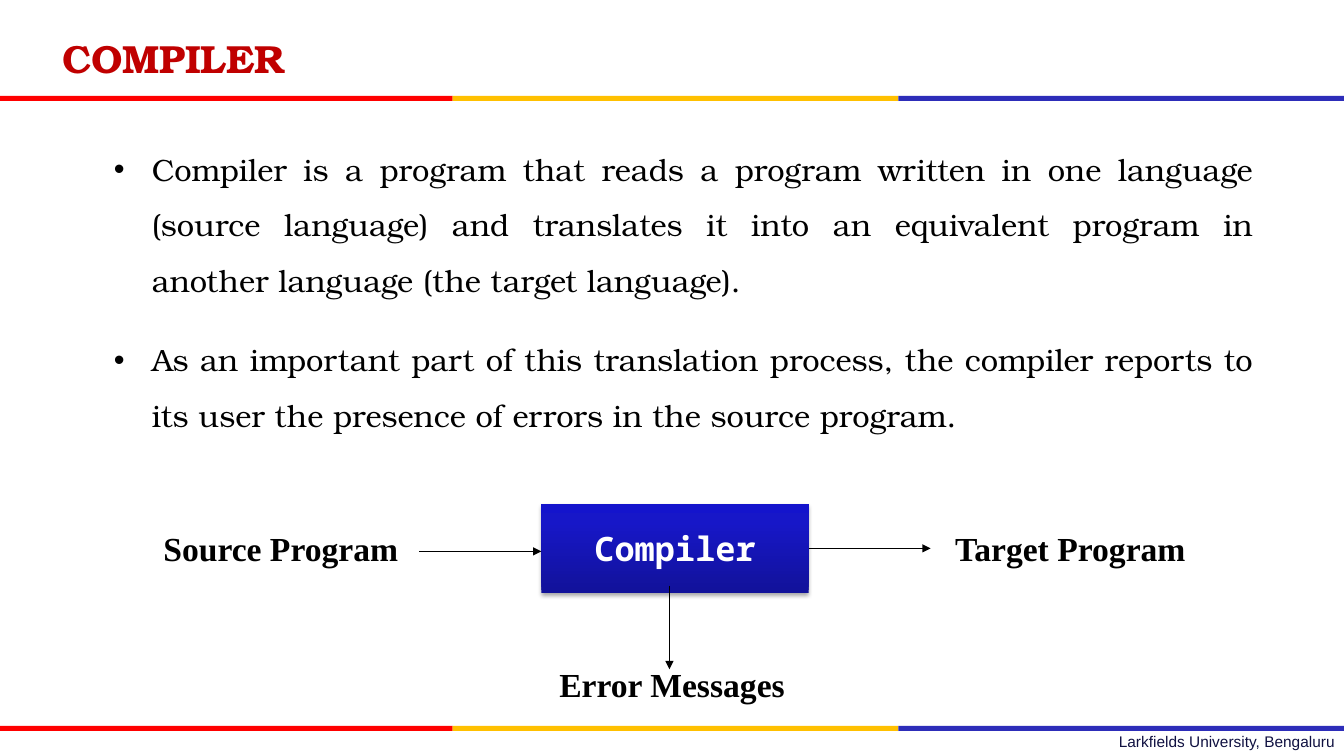
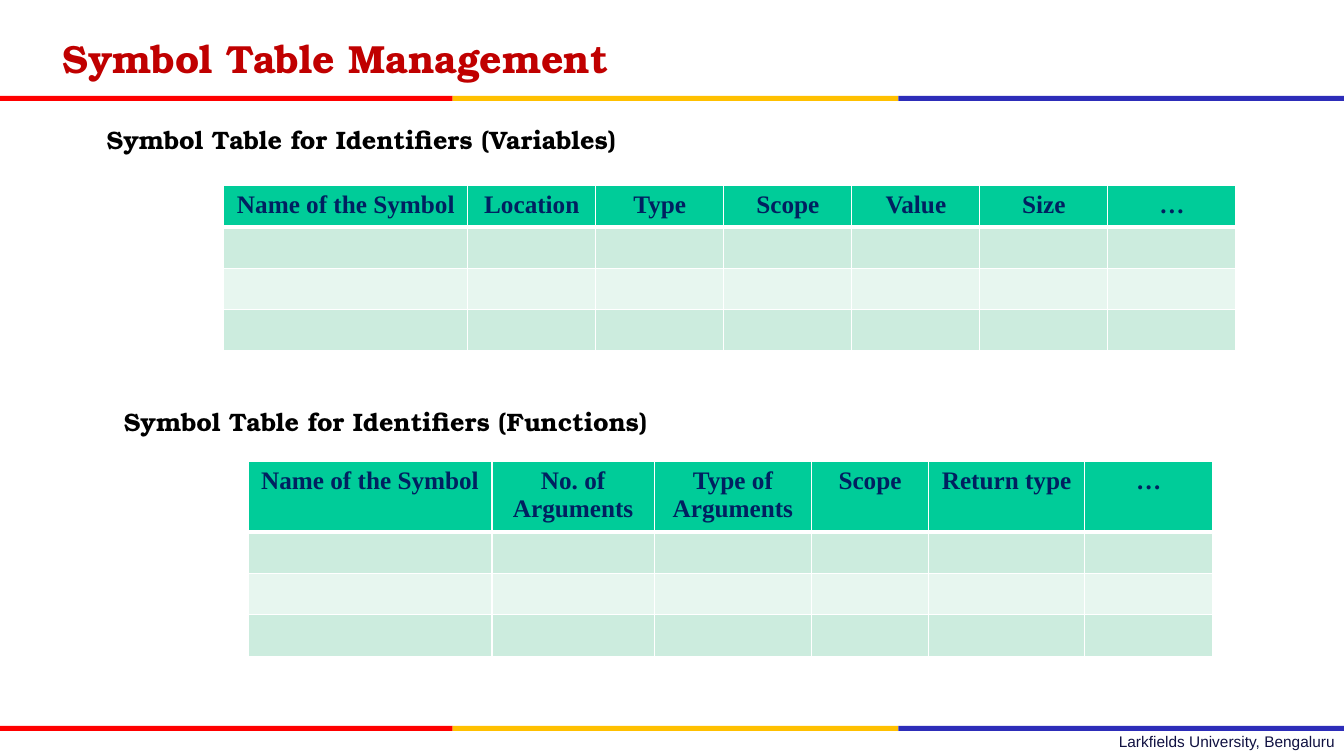
import copy

import lxml.etree
import pptx
import pptx.dml.color
import pptx.enum.shapes
import pptx.enum.text
import pptx.oxml.ns
import pptx.util

PX = 9144
SERIF, DISPLAY, MONO, SANS = "Times New Roman", "TeX Gyre Bonum", "Noto Sans Mono", "Arial"
BLACK, WHITE, NAVY = "000000", "FFFFFF", "002060"
TITLE_RED, FOOTER_INK = "C00000", "101141"
BANDS = [(0, 449, "FF0000"), (449, 442, "FFC000"), (891, 442, "2D2DB9")]
BAND_TOPS = (95, 720)
HEADER_GREEN, ROW_GREENS = "00CC99", ("CCECDE", "E7F6EF")
COMPILER_STOPS = [(0, "12129A"), (0.8, "1717C8"), (1, "1414CC")]
ROW_HEIGHT = 41
ALIGN = pptx.enum.text.PP_ALIGN
ANCHOR = pptx.enum.text.MSO_ANCHOR
RECTANGLE = pptx.enum.shapes.MSO_SHAPE.RECTANGLE


def emu(*lengths):
    """Turn px lengths into EMU."""
    return [pptx.util.Emu(length * PX) for length in lengths]


def rgb(color):
    """Turn a hex string into a colour."""
    return pptx.dml.color.RGBColor.from_string(color)


def add_node(parent, tag, **attributes):
    """Append a DrawingML element to its parent."""
    return lxml.etree.SubElement(parent, pptx.oxml.ns.qn(tag), **attributes)


def style_text(frame, font, size, color, bold=False, align=ALIGN.LEFT):
    """Format every paragraph and run of a text frame."""
    for paragraph in frame.paragraphs:
        paragraph.alignment = align
        for run in paragraph.runs:
            run.font.name = font
            run.font.size = pptx.util.Pt(size)
            run.font.bold = bold
            run.font.color.rgb = rgb(color)


def place(placeholder, left, top, width, height, anchor=ANCHOR.TOP):
    """Move a placeholder and fix its text fitting."""
    placeholder.left, placeholder.top, placeholder.width, placeholder.height = emu(left, top, width, height)
    frame = placeholder.text_frame
    frame.word_wrap = True
    frame.auto_size = pptx.enum.text.MSO_AUTO_SIZE.NONE
    frame.vertical_anchor = anchor
    return frame


def add_rectangle(slide, left, top, width, height, color):
    """Draw a plain filled rectangle."""
    rectangle = slide.shapes.add_shape(RECTANGLE, *emu(left, top, width, height))
    rectangle.shadow.inherit = False
    rectangle.fill.solid()
    rectangle.fill.fore_color.rgb = rgb(color)
    rectangle.line.fill.background()
    return rectangle


def add_text(slide, left, top, width, height, text):
    """Add a wrapping text box and return its frame."""
    frame = slide.shapes.add_textbox(*emu(left, top, width, height)).text_frame
    frame.word_wrap = True
    frame.text = text
    return frame


def add_slide(deck, layout, title, title_width):
    """Add a slide with the shared bands, footer and title."""
    slide = deck.slides.add_slide(deck.slide_layouts.get_by_name(layout))
    footer = add_text(slide, 478, 721, 856, 29, "Larkfields University, Bengaluru")
    style_text(footer, SANS, 11, FOOTER_INK, align=ALIGN.RIGHT)
    for top in BAND_TOPS:
        for left, width, color in BANDS:
            add_rectangle(slide, left, top, width, 5, color)
    heading = place(slide.shapes.title, 52, 29, title_width, 58)
    heading.text = title
    style_text(heading, DISPLAY, 28, TITLE_RED, bold=True)
    return slide


def add_bullets(slide, items):
    """Fill the body placeholder with justified bullets."""
    body = place(slide.placeholders[1], 103, 126, 1150, 291)
    body.text = "\n".join(items)
    style_text(body, DISPLAY, 22, BLACK, align=ALIGN.JUSTIFY)
    for paragraph in body.paragraphs:
        paragraph.line_spacing = 1.5
        paragraph.space_before = pptx.util.Pt(0)
        paragraph.space_after = pptx.util.Pt(17.5)


def add_stage(slide, left, top, height, label, font=SERIF, color=BLACK):
    """Draw one labelled stage of the translation diagram."""
    stage = add_rectangle(slide, left, top, 265, height, WHITE)
    stage.text_frame.text = label
    stage.text_frame.vertical_anchor = ANCHOR.MIDDLE
    style_text(stage.text_frame, font, 24, color, bold=True, align=ALIGN.CENTER)
    return stage


def highlight(stage):
    """Give a stage the blue gradient and a soft shadow."""
    stage.fill.gradient()
    properties = stage._element.spPr
    stops = properties.find(".//" + pptx.oxml.ns.qn("a:gsLst"))
    stops.insert(1, copy.deepcopy(stops[0]))
    for stop, (position, color) in zip(stage.fill.gradient_stops, COMPILER_STOPS):
        stop.position = position
        stop.color.rgb = rgb(color)
    stage.fill.gradient_angle = 90
    effects = properties.find(pptx.oxml.ns.qn("a:effectLst"))
    shadow = add_node(effects, "a:outerShdw", blurRad="40000", dist="23000", dir="5400000", rotWithShape="0")
    add_node(add_node(shadow, "a:srgbClr", val=BLACK), "a:alpha", val="35000")


def add_arrow(slide, *ends):
    """Draw a thin black arrow."""
    straight = pptx.enum.shapes.MSO_CONNECTOR.STRAIGHT
    arrow = slide.shapes.add_connector(straight, *emu(*ends))
    arrow.line.color.rgb = rgb(BLACK)
    arrow.line.width = pptx.util.Pt(0.75)
    properties = arrow._element.spPr
    add_node(properties.find(pptx.oxml.ns.qn("a:ln")), "a:tailEnd", type="triangle")
    add_node(properties, "a:effectLst")


def add_subheading(slide, left, top, text):
    """Add the bold caption above a table."""
    caption = add_text(slide, left, top, 667, 43, text)
    style_text(caption, DISPLAY, 18, BLACK, bold=True, align=ALIGN.JUSTIFY)
    caption.paragraphs[0].line_spacing = pptx.util.Pt(25)


def set_borders(cell, top_width, bottom_width):
    """Give a cell white borders."""
    properties = cell._tc.get_or_add_tcPr()
    widths = {"a:lnL": 1, "a:lnR": 1, "a:lnT": top_width, "a:lnB": bottom_width}
    for index, (side, width) in enumerate(widths.items()):
        border = add_node(properties, side, w=str(pptx.util.Pt(width)))
        add_node(add_node(border, "a:solidFill"), "a:srgbClr", val=WHITE)
        properties.insert(index, border)


def add_symbol_table(slide, left, top, header_height, columns):
    """Add a symbol table with a header and three empty rows."""
    heights = [header_height] + [ROW_HEIGHT] * 3
    width = sum(column_width for _, column_width in columns)
    area = emu(left, top, width, sum(heights))
    table = slide.shapes.add_table(len(heights), len(columns), *area).table
    for row, height in zip(table.rows, heights):
        row.height = emu(height)[0]
    for index, (label, column_width) in enumerate(columns):
        table.columns[index].width = emu(column_width)[0]
        header = table.cell(0, index)
        header.text = label
        style_text(header.text_frame, SERIF, 18, NAVY, bold=True, align=ALIGN.CENTER)
        for number in range(len(heights)):
            cell = table.cell(number, index)
            cell.fill.solid()
            cell.fill.fore_color.rgb = rgb(ROW_GREENS[(number - 1) % 2] if number else HEADER_GREEN)
            set_borders(cell, 3 if number == 1 else 1, 1 if number else 3)


def build_compiler(deck):
    """Build the slide that explains a compiler."""
    slide = add_slide(deck, "Title and Content", "COMPILER", 251)
    add_bullets(slide, [
        "Compiler is a program that reads a program written in one language (source language) "
        "and translates it into an equivalent program in another language (the target language).",
        "As an important part of this translation process, the compiler reports to its user "
        "the presence of errors in the source program.",
    ])
    add_stage(slide, 146, 500, 88, "Source Program")
    highlight(add_stage(slide, 537, 500, 88, "Compiler", MONO, WHITE))
    add_stage(slide, 929, 500, 88, "Target Program")
    add_stage(slide, 534, 645, 67, "Error Messages")
    for ends in [(416, 547, 537, 547), (802, 544, 923, 544), (664, 581, 664, 664)]:
        add_arrow(slide, *ends)


def build_symbol_tables(deck):
    """Build the slide with the two symbol tables."""
    slide = add_slide(deck, "Title Only", "Symbol Table Management", 658)
    add_subheading(slide, 96, 114, "Symbol Table for Identifiers (Variables)")
    details = ["Location", "Type", "Scope", "Value", "Size", "…"]
    variables = [("Name of the Symbol", 242)] + [(label, 127) for label in details]
    add_symbol_table(slide, 222, 184, ROW_HEIGHT, variables)
    add_subheading(slide, 113, 393, "Symbol Table for Identifiers (Functions)")
    functions = [("Name of the Symbol", 242), ("No. of Arguments", 161), ("Type of Arguments", 156),
                 ("Scope", 116), ("Return type", 155), ("…", 127)]
    add_symbol_table(slide, 246, 458, 69, functions)


def main():
    """Build and save the presentation."""
    deck = pptx.Presentation()
    deck.slide_width, deck.slide_height = emu(1333, 750)
    build_compiler(deck)
    build_symbol_tables(deck)
    deck.save("out.pptx")


if __name__ == "__main__":
    main()
